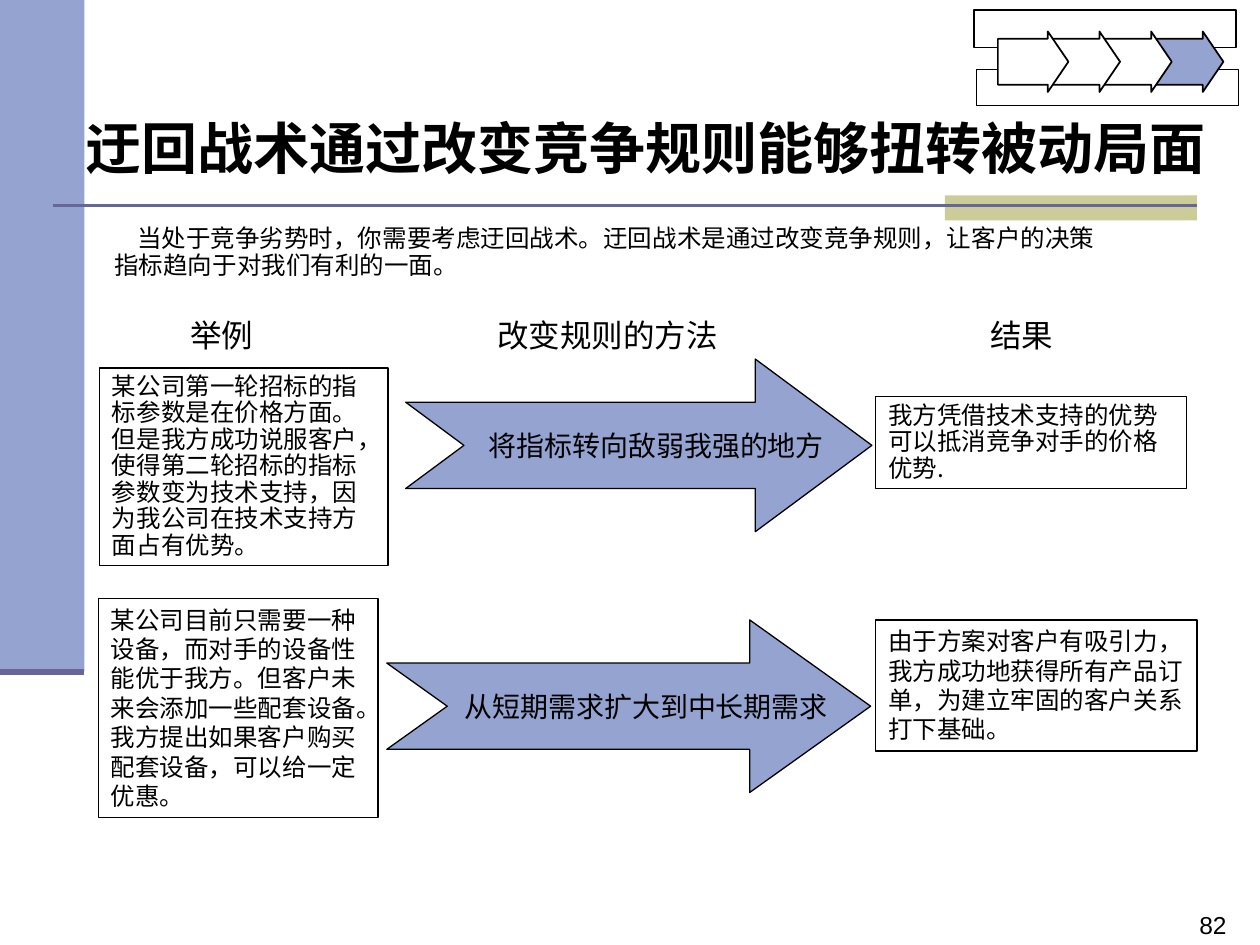
import pptx
import pptx.util
import pptx.dml.color
import pptx.enum.shapes
import pptx.enum.text
import pptx.oxml.ns
import lxml.etree

Inches = pptx.util.Inches
RGBColor = pptx.dml.color.RGBColor
Shapes = pptx.enum.shapes.MSO_SHAPE
Align = pptx.enum.text.PP_ALIGN
Anchor = pptx.enum.text.MSO_ANCHOR

BLUE = RGBColor(0x95, 0xA3, 0xD1)
PURPLE = RGBColor(0x66, 0x66, 0x99)
KHAKI = RGBColor(0xCC, 0xCC, 0x99)
WHITE = RGBColor(0xFF, 0xFF, 0xFF)
BLACK = RGBColor(0, 0, 0)

SERIF = "Times New Roman"
SANS = "Noto Sans CJK SC"


def style_shape(shape, fill=None, line=None, width=0.75):
    shape.shadow.inherit = False
    if fill is None:
        shape.fill.background()
    else:
        shape.fill.solid()
        shape.fill.fore_color.rgb = fill
    if line is None:
        shape.line.fill.background()
    else:
        shape.line.color.rgb = line
        shape.line.width = pptx.util.Pt(width)


def add_box(slide, box, preset=Shapes.RECTANGLE, **style):
    shape = slide.shapes.add_shape(preset, *map(Inches, box))
    style_shape(shape, **style)
    return shape


def add_rule(slide, left, right, y, width):
    rule = slide.shapes.add_connector(
        pptx.enum.shapes.MSO_CONNECTOR.STRAIGHT,
        Inches(left), Inches(y), Inches(right), Inches(y))
    rule.line.color.rgb = PURPLE
    rule.line.width = pptx.util.Pt(width)
    lxml.etree.SubElement(rule._element.spPr, pptx.oxml.ns.qn("a:effectLst"))


def write(shape, text, size, font=SERIF, bold=False, align=Align.LEFT,
          anchor=Anchor.TOP, spacing=None, wrap=True, indent=0):
    frame = shape.text_frame
    frame.word_wrap = wrap
    frame.vertical_anchor = anchor
    paragraph = frame.paragraphs[0]
    paragraph.alignment = align
    if spacing:
        paragraph.line_spacing = spacing
    if indent:
        paragraph._p.get_or_add_pPr().set("indent", str(Inches(indent)))
    run = paragraph.add_run()
    run.text = text
    run.font.size = pptx.util.Pt(size)
    run.font.name = font
    run.font.bold = bold
    run.font.color.rgb = BLACK
    east_asian = lxml.etree.SubElement(
        run._r.get_or_add_rPr(), pptx.oxml.ns.qn("a:ea"))
    east_asian.set("typeface", SANS)


def add_text(slide, box, text, size, **style):
    write(slide.shapes.add_textbox(*map(Inches, box)), text, size, **style)


def add_frame(slide):
    """Side band, khaki block, rules and page number."""
    add_box(slide, (0, 0, 0.67, 5.33), fill=BLUE)
    add_box(slide, (7.5, 1.55, 2, 0.2), fill=KHAKI)
    add_rule(slide, 0.42, 9.5, 1.63, 1.5)
    add_rule(slide, 0, 0.67, 5.33, 3.5)
    add_text(slide, (9.42, 7.17, 0.83, 0.34), "82", 14, font="Arial")


def add_progress(slide, left, top):
    """Four overlapping step arrows, the last one current, on two bars."""
    add_box(slide, (left, top, 2.08, 0.3), fill=WHITE, line=BLACK)
    add_box(slide, (left + 0.02, top + 0.47, 2.08, 0.29), fill=WHITE, line=BLACK)
    for step in reversed(range(4)):
        arrow = add_box(slide, (left + 0.19 + 0.41 * step, top + 0.17, 0.56, 0.48),
                        Shapes.RIGHT_ARROW, fill=BLUE if step == 3 else WHITE,
                        line=BLACK, width=1)
        arrow.adjustments[0] = 0.76
        arrow.adjustments[1] = 0.34


def add_method_arrow(slide, box, text):
    """Notched arrow whose head is a quarter of its length."""
    left, top, width, height = box
    right, middle, bottom = left + width, top + height / 2, top + height
    neck, notch = left + width * 0.75, left + width / 8
    shaft_top, shaft_bottom = top + height / 4, bottom - height / 4
    points = [(left, shaft_top), (neck, shaft_top), (neck, top), (right, middle),
              (neck, bottom), (neck, shaft_bottom), (left, shaft_bottom),
              (notch, middle)]
    points = [(Inches(x), Inches(y)) for x, y in points]
    builder = slide.shapes.build_freeform(*points[0])
    builder.add_line_segments(points[1:], close=True)
    arrow = builder.convert_to_shape()
    style_shape(arrow, fill=BLUE, line=BLACK)
    arrow.text_frame.margin_left = Inches(0.38)
    write(arrow, text, 16, align=Align.CENTER, anchor=Anchor.MIDDLE, wrap=False)


def add_case(slide, example, method, result, **style):
    """One row: example box, method arrow, result box, each as (box, text)."""
    for box, text in (example, result):
        write(add_box(slide, box, line=BLACK), text, 14, **style)
    add_method_arrow(slide, *method)


def main():
    presentation = pptx.Presentation()
    presentation.slide_width = Inches(10)
    presentation.slide_height = Inches(7.5)
    slide = presentation.slides.add_slide(presentation.slide_layouts[6])

    add_frame(slide)
    add_text(slide, (0.58, 0.92, 9.17, 0.5),
             "迂回战术通过改变竞争规则能够扭转被动局面", 32,
             bold=True, anchor=Anchor.MIDDLE)
    add_text(slide, (0.81, 1.75, 8.13, 0.52),
             "当处于竞争劣势时，你需要考虑迂回战术。迂回战术是通过改变竞争规则，"
             "让客户的决策指标趋向于对我们有利的一面。",
             14, font=SANS, spacing=0.9, indent=0.18)

    for left, width, heading in ((1.41, 0.81, "举例"),
                                 (3.85, 2.07, "改变规则的方法"),
                                 (7.76, 0.82, "结果")):
        add_text(slide, (left, 2.46, width, 0.4), heading, 18)

    add_case(
        slide,
        ((0.79, 2.92, 2.29, 1.57),
         "某公司第一轮招标的指标参数是在价格方面。但是我方成功说服客户，"
         "使得第二轮招标的指标参数变为技术支持，因为我公司在技术支持方面占有优势。"),
        ((3.22, 2.85, 3.7, 1.37), "将指标转向敌弱我强的地方"),
        ((6.95, 3.15, 2.47, 0.73),
         "我方凭借技术支持的优势可以抵消竞争对手的价格优势."),
        font=SANS, spacing=0.9)
    add_case(
        slide,
        ((0.78, 4.75, 2.22, 1.74),
         "某公司目前只需要一种设备，而对手的设备性能优于我方。但客户未来会添加"
         "一些配套设备。我方提出如果客户购买配套设备，可以给一定优惠。"),
        ((3.07, 4.92, 3.84, 1.37), "从短期需求扩大到中长期需求"),
        ((6.95, 4.92, 2.55, 1.04),
         "由于方案对客户有吸引力，我方成功地获得所有产品订单，"
         "为建立牢固的客户关系打下基础。"))

    add_progress(slide, 7.73, 0.08)
    presentation.save("out.pptx")


if __name__ == "__main__":
    main()
